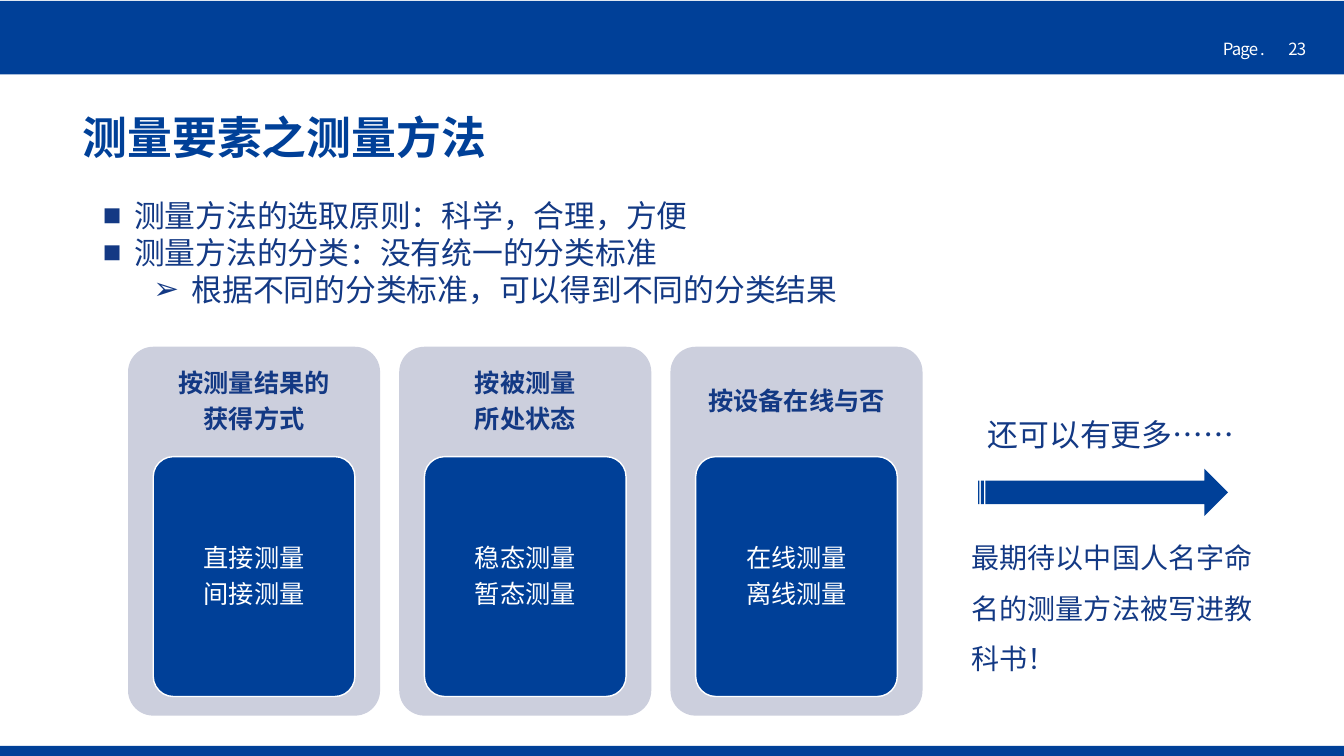
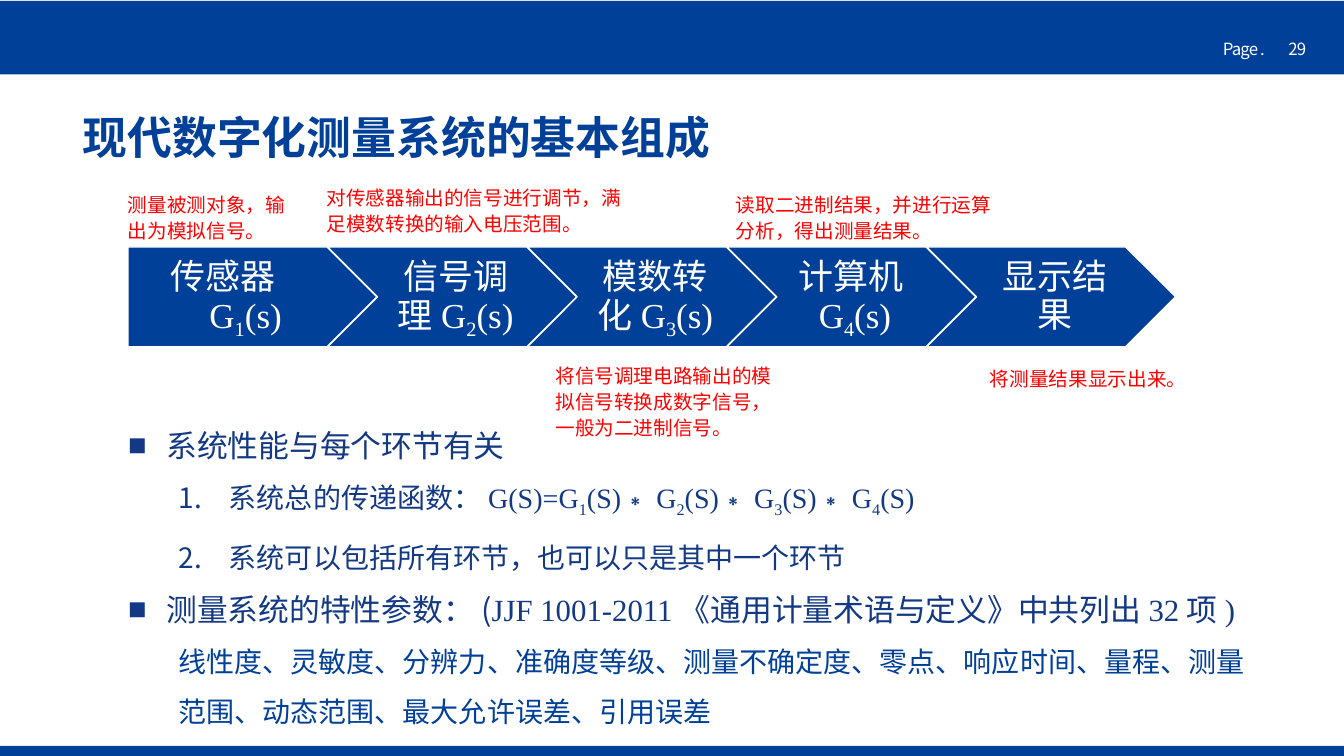
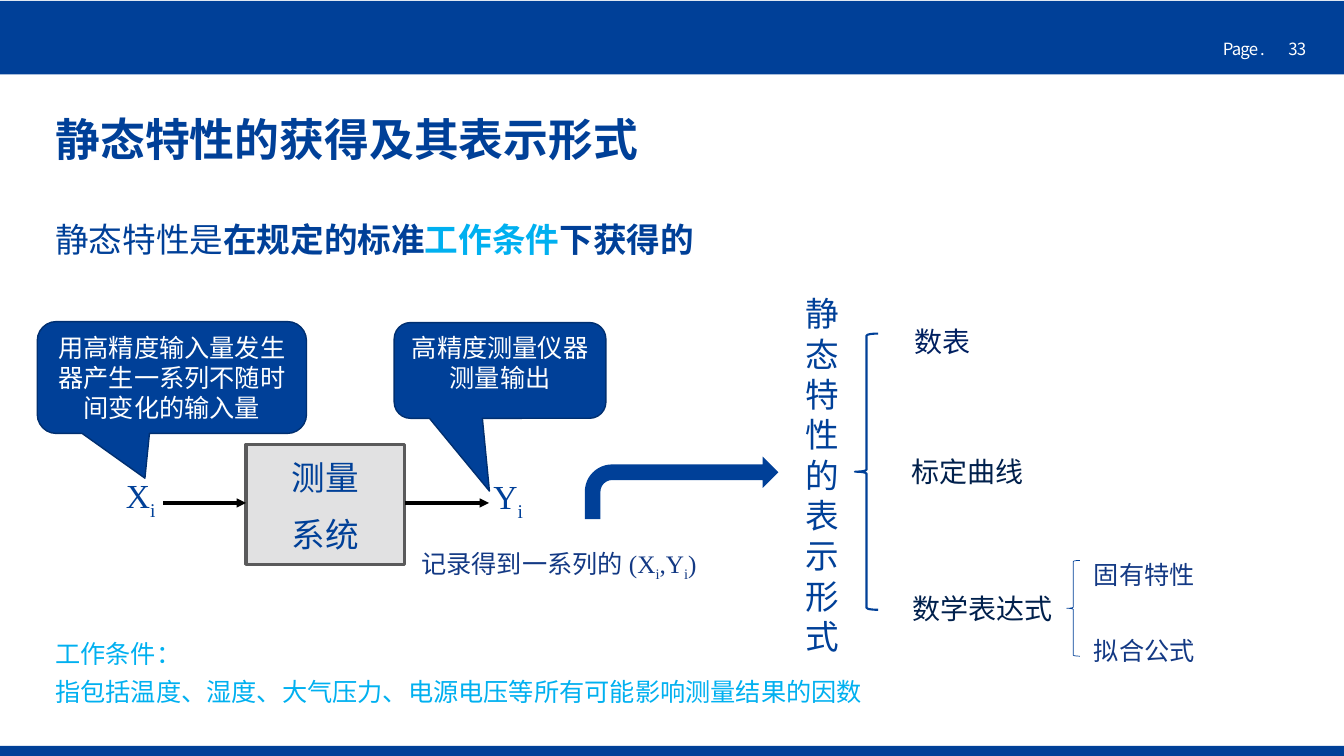
from dataclasses import dataclass, replace

from lxml.etree import SubElement
from pptx import Presentation
from pptx.dml.color import RGBColor
from pptx.enum.shapes import MSO_CONNECTOR, MSO_SHAPE as Preset
from pptx.enum.text import MSO_ANCHOR as Anchor, MSO_AUTO_SIZE, PP_ALIGN as Align
from pptx.oxml.ns import qn
from pptx.util import Inches, Pt

# Shared colours and fonts
BLUE = RGBColor(0x00, 0x40, 0x98)
INK = RGBColor(0x13, 0x39, 0x84)
EDGE = RGBColor(0x00, 0x2F, 0x70)
NAVY = RGBColor(0x00, 0x20, 0x60)
DEEP = RGBColor(0x00, 0x20, 0x4C)
CYAN = RGBColor(0x00, 0xB0, 0xF0)
RED = RGBColor(0xFF, 0x00, 0x00)
WHITE = RGBColor(0xFF, 0xFF, 0xFF)
BLACK = RGBColor(0x00, 0x00, 0x00)
CARD = RGBColor(0xCC, 0xCF, 0xDD)
BOX_FILL = RGBColor(0xE1, 0xE1, 0xE2)
BOX_EDGE = RGBColor(0x5A, 0x5A, 0x5B)
HAN, TIMES, ARIAL, DEJAVU = "Noto Sans CJK SC", "Times New Roman", "Arial", "DejaVu Sans"
INSETS = (0.1, 0.05, 0.1, 0.05)


@dataclass
class Style:
    size: float
    color: RGBColor = INK
    font: str = HAN
    bold: bool = False
    align: Align = Align.LEFT
    leading: float = 1      # lines of 1.2 times the size
    gap: float = 0          # points between paragraphs
    bullet: str = ""
    level: int = 0
    left: float = 0
    first: float = 0
    spacing: int = 0


TITLE = Style(32, BLUE, TIMES, bold=True, leading=0.9)
PAGE = Style(12, WHITE, spacing=-60)
NOTE = Style(14, RED, leading=1.1)
CARD_TEXT = Style(18, WHITE, TIMES, align=Align.CENTER, leading=0.9, gap=6.3)
SYMBOL = Style(24, BLUE, TIMES, align=Align.CENTER)


# Text
def add_run(paragraph, text, style, subscript):
    run = paragraph.add_run()
    run.text = text
    run.font.size = Pt(style.size)
    run.font.bold = style.bold
    run.font.name = style.font
    run.font.color.rgb = style.color
    properties = run._r.get_or_add_rPr()
    SubElement(properties, qn("a:ea"), typeface=HAN)
    if style.spacing:
        properties.set("spc", str(style.spacing))
    if subscript:
        properties.set("baseline", "-25000")


def format_paragraph(paragraph, style, is_first):
    properties = paragraph._p.get_or_add_pPr()
    properties.set("marL", str(Inches(style.left)))
    properties.set("indent", str(Inches(style.first)))
    if style.bullet == "1.":
        SubElement(properties, qn("a:buFont"), typeface=HAN)
        SubElement(properties, qn("a:buAutoNum"), type="arabicPeriod")
    elif style.bullet:
        SubElement(properties, qn("a:buChar"), char=style.bullet)
    else:
        SubElement(properties, qn("a:buNone"))
    paragraph.level = style.level
    paragraph.alignment = style.align
    paragraph.line_spacing = Pt(round(style.size * 1.2 * style.leading, 1))
    paragraph.space_before = Pt(0 if is_first else style.gap)
    paragraph.space_after = Pt(0)


def write(frame, paragraphs, style, anchor=Anchor.TOP, insets=INSETS, wrap=True):
    """A paragraph is a string, or (string or runs, changes); ~x~ is a subscript."""
    frame.auto_size = MSO_AUTO_SIZE.NONE
    frame.word_wrap = wrap
    frame.vertical_anchor = anchor
    (frame.margin_left, frame.margin_top,
     frame.margin_right, frame.margin_bottom) = map(Inches, insets)
    for index, item in enumerate(paragraphs):
        content, changes = item if isinstance(item, tuple) else (item, {})
        runs = content if isinstance(content, list) else [(content, {})]
        own = replace(style, **changes)
        paragraph = frame.add_paragraph() if index else frame.paragraphs[0]
        format_paragraph(paragraph, own, index == 0)
        for text, run_changes in runs:
            for part, piece in enumerate(text.split("~")):
                if piece:
                    add_run(paragraph, piece, replace(own, **run_changes), part % 2 == 1)


def add_text(slide, at, paragraphs, style, **options):
    box = slide.shapes.add_textbox(*map(Inches, at))
    write(box.text_frame, paragraphs, style, **options)
    return box


# Shapes
def add_preset(slide, preset, at, fill=None, line=None, width=1, adjust=()):
    shape = slide.shapes.add_shape(preset, *map(Inches, at))
    shape.shadow.inherit = False
    if fill is None:
        shape.fill.background()
    else:
        shape.fill.solid()
        shape.fill.fore_color.rgb = fill
    if line is None:
        shape.line.fill.background()
    else:
        shape.line.color.rgb = line
        shape.line.width = Pt(width)
    for index, value in enumerate(adjust):
        shape.adjustments[index] = value
    return shape


def add_arrow(slide, start, end, y):
    arrow = slide.shapes.add_connector(
        MSO_CONNECTOR.STRAIGHT, Inches(start), Inches(y), Inches(end), Inches(y))
    arrow.line.color.rgb = BLACK
    arrow.line.width = Pt(2.25)
    SubElement(arrow.line._get_or_add_ln(), qn("a:tailEnd"), type="triangle")
    SubElement(arrow.element.spPr, qn("a:effectLst"))


def place(placeholder, at):
    (placeholder.left, placeholder.top,
     placeholder.width, placeholder.height) = map(Inches, at)


# Shared frame of the slides
def build_master(prs, slide):
    """Draw the bands and page label, then move them to the slide master."""
    parts = [
        add_preset(slide, Preset.RECTANGLE, (0, 7.4, 13.33, 0.1), BLUE),
        add_preset(slide, Preset.RECTANGLE, (0, 0.01, 13.33, 0.73), BLUE),
        add_text(slide, (12.03, 0.34, 0.63, 0.3), ["Page ."], PAGE, wrap=False),
    ]
    for index, part in enumerate(parts):
        part.element.xpath(".//p:cNvPr")[0].set("id", str(20 + index))
        prs.slide_master.shapes.element.insert(2 + index, part.element)


def start_slide(prs, layout, title, page, title_at=(0.72, 1.07)):
    slide = prs.slides.add_slide(prs.slide_layouts[layout])
    place(slide.shapes.title, (*title_at, 12.21, 0.63))
    write(slide.shapes.title.text_frame, [title], TITLE, anchor=Anchor.MIDDLE)
    add_text(slide, (12.68, 0.34, 0.65, 0.3), [page], PAGE)
    return slide


def add_list(slide, at, paragraphs, style):
    body = slide.placeholders[1]
    place(body, at)
    write(body.text_frame, paragraphs, style)


# Slide contents
def build_methods(prs):
    slide = start_slide(prs, 1, "测量要素之测量方法", "23")
    add_list(slide, (0.92, 1.9, 7.99, 1.21), [
        "测量方法的选取原则：科学，合理，方便",
        "测量方法的分类：没有统一的分类标准",
        ("根据不同的分类标准，可以得到不同的分类结果",
         dict(bullet="➢", level=1, left=0.88, first=-0.38)),
    ], Style(22, font=ARIAL, bullet="■", left=0.31, first=-0.31))

    cards = [
        (["按测量结果的", "获得方式"], ["直接测量", "间接测量"]),
        (["按被测量", "所处状态"], ["稳态测量", "暂态测量"]),
        (["按设备在线与否"], ["在线测量", "离线测量"]),
    ]
    heading_style = replace(CARD_TEXT, color=INK, bold=True)
    for index, (heading, methods) in enumerate(cards):
        left = 1.27 + index * 2.69
        add_preset(slide, Preset.ROUNDED_RECTANGLE, (left, 3.44, 2.5, 3.66), CARD, adjust=[0.1])
        add_text(slide, (left, 3.44, 2.5, 1.1), heading, heading_style,
                 anchor=Anchor.MIDDLE, insets=(0.07,) * 4)
        inner = add_preset(slide, Preset.ROUNDED_RECTANGLE, (left + 0.25, 4.53, 2, 2.38),
                           BLUE, WHITE, adjust=[0.1])
        write(inner.text_frame, methods, CARD_TEXT, anchor=Anchor.MIDDLE)

    add_text(slide, (9.7, 4.08, 2.72, 0.47), ["还可以有更多……"], Style(22, font=ARIAL))
    add_preset(slide, Preset.STRIPED_RIGHT_ARROW, (9.7, 4.65, 2.48, 0.47), BLUE)
    add_text(slide, (9.54, 5.15, 3.24, 1.55),
             ["最期待以中国人名字命名的测量方法被写进教科书！"],
             Style(20, font=ARIAL, leading=1.5))
    return slide


def build_system(prs):
    slide = start_slide(prs, 1, "现代数字化测量系统的基本组成", "29")

    # Chain of stages
    stages = [
        [("传感器", dict(align=Align.LEFT, left=0.27)), "G~1~(s)"],
        ["信号调理G~2~(s)"],
        ["模数转化G~3~(s)"],
        ["计算机G~4~(s)"],
        [("显示结果", dict(leading=0.9))],
    ]
    stage_style = Style(25, WHITE, TIMES, align=Align.CENTER, leading=1.05)
    for index, stage in enumerate(stages):
        preset = Preset.CHEVRON if index else Preset.PENTAGON
        shape = add_preset(slide, preset, (1.27 + index * 1.98, 2.45, 2.47, 0.99), BLUE, WHITE)
        write(shape.text_frame, stage, stage_style, anchor=Anchor.MIDDLE,
              insets=(0.11 if index else 0.15, 0.07, 0.04, 0.07))

    notes = [
        ((1.17, 1.84, 1.87, 0.63), "测量被测对象，输出为模拟信号。"),
        ((3.14, 1.77, 3.13, 0.63), "对传感器输出的信号进行调节，满足模数转换的输入电压范围。"),
        ((5.41, 3.54, 2.48, 0.82), "将信号调理电路输出的模拟信号转换成数字信号，一般为二进制信号。"),
        ((7.2, 1.84, 2.76, 0.6), "读取二进制结果，并进行运算分析，得出测量结果。"),
        ((9.72, 3.57, 2.76, 0.43), "将测量结果显示出来。"),
    ]
    for at, note in notes:
        add_text(slide, at, [note], NOTE)

    # Properties of the system
    times = dict(font=TIMES)
    numbered = dict(size=20, bullet="1.", level=1, left=1, first=-0.5, leading=1.64)
    add_list(slide, (1.17, 4, 11.3, 3.23), [
        "系统性能与每个环节有关",
        ([("系统总的传递函数：", {}),
          ("G(S)=G~1~(S)∗ G~2~(S)∗ G~3~(S)∗ G~4~(S)", times)], numbered),
        ("系统可以包括所有环节，也可以只是其中一个环节", numbered),
        ([("测量系统的特性参数：(", {}),
          ("JJF 1001-2011《通用计量术语与定义》中共列出32项)", times)], dict(leading=1.45)),
        ("线性度、灵敏度、分辨力、准确度等级、测量不确定度、零点、响应时间、量程、"
         "测量范围、动态范围、最大允许误差、引用误差",
         dict(size=20, color=BLUE, bullet="", level=1, left=0.5, first=0)),
    ], Style(22, bullet="■", left=0.38, first=-0.38, leading=1.5))


def build_static(prs):
    slide = start_slide(prs, 5, "静态特性的获得及其表示形式", "33", (0.45, 1.09))
    add_text(slide, (0.45, 2.08, 7.65, 0.5), [([
        ("静态特性是", dict(font=ARIAL, bold=False)),
        ("在规定的标准", {}),
        ("工作条件", dict(color=CYAN)),
        ("下获得的", {}),
    ], {})], Style(24, BLUE, bold=True, leading=1.1))

    # Measuring system with input and output
    system = add_preset(slide, Preset.RECTANGLE, (2.44, 4.41, 1.57, 1.19),
                        BOX_FILL, BOX_EDGE, 2.25)
    write(system.text_frame, ["测量", "系统"],
          Style(24, BLUE, align=Align.CENTER, gap=12), insets=(0, 0.12, 0, 0.09))
    add_arrow(slide, 1.62, 2.44, 4.99)
    add_arrow(slide, 4.02, 4.85, 4.99)
    add_text(slide, (1.02, 4.72, 0.75, 0.5), ["X~i~"], SYMBOL)
    add_text(slide, (4.78, 4.73, 0.52, 0.5), ["Y~i~"], SYMBOL)
    callouts = [
        ((0.37, 3.19, 2.67, 1.11), (-0.1, 0.9, 0.17),
         "用高精度输入量发生器产生一系列不随时间变化的输入量"),
        ((3.91, 3.2, 2.1, 0.95), (-0.05, 1.26, 0.17), "高精度测量仪器测量输出"),
    ]
    for at, adjust, remark in callouts:
        callout = add_preset(slide, Preset.ROUNDED_RECTANGULAR_CALLOUT, at, BLUE, EDGE,
                             adjust=adjust)
        write(callout.text_frame, [remark], Style(18, WHITE, DEJAVU, align=Align.CENTER))
    add_text(slide, (4.08, 5.43, 2.98, 0.4),
             [([("记录得到一系列的", {}), ("(X~i~,Y~i~)", dict(font=TIMES))], {})],
             Style(18, font=ARIAL))
    add_preset(slide, Preset.BENT_ARROW, (5.8, 4.53, 1.92, 0.62), BLUE)

    # Forms of expression
    add_text(slide, (7.89, 2.86, 0.43, 3.74), ["静态特性的表示形式"],
             Style(24, BLUE, align=Align.CENTER))
    add_preset(slide, Preset.LEFT_BRACE, (8.48, 3.31, 0.23, 2.74), line=BLUE, width=1.5)
    add_preset(slide, Preset.LEFT_BRACE, (10.58, 5.56, 0.13, 0.95), line=BLUE, width=0.5)
    forms = [
        ((8.97, 3.17, 1.64, 0.44), "数表", Style(20, NAVY)),
        ((8.94, 4.46, 1.63, 0.44), "标定曲线", Style(20, DEEP)),
        ((8.95, 5.82, 1.79, 0.44), "数学表达式", Style(20, DEEP)),
        ((10.75, 5.5, 1.39, 0.4), "固有特性", Style(18, font=ARIAL)),
        ((10.75, 6.25, 1.39, 0.4), "拟合公式", Style(18, font=ARIAL)),
    ]
    for at, form, style in forms:
        add_text(slide, at, [form], style)

    add_text(slide, (0.45, 6.25, 8.53, 0.83),
             ["工作条件：", "指包括温度、湿度、大气压力、电源电压等所有可能影响测量结果的因数"],
             Style(18, CYAN, leading=1.1, gap=3.6), wrap=False)


def main():
    prs = Presentation()
    prs.slide_width, prs.slide_height = Inches(13.33), Inches(7.5)
    build_master(prs, build_methods(prs))
    build_system(prs)
    build_static(prs)
    prs.save("out.pptx")


if __name__ == "__main__":
    main()
